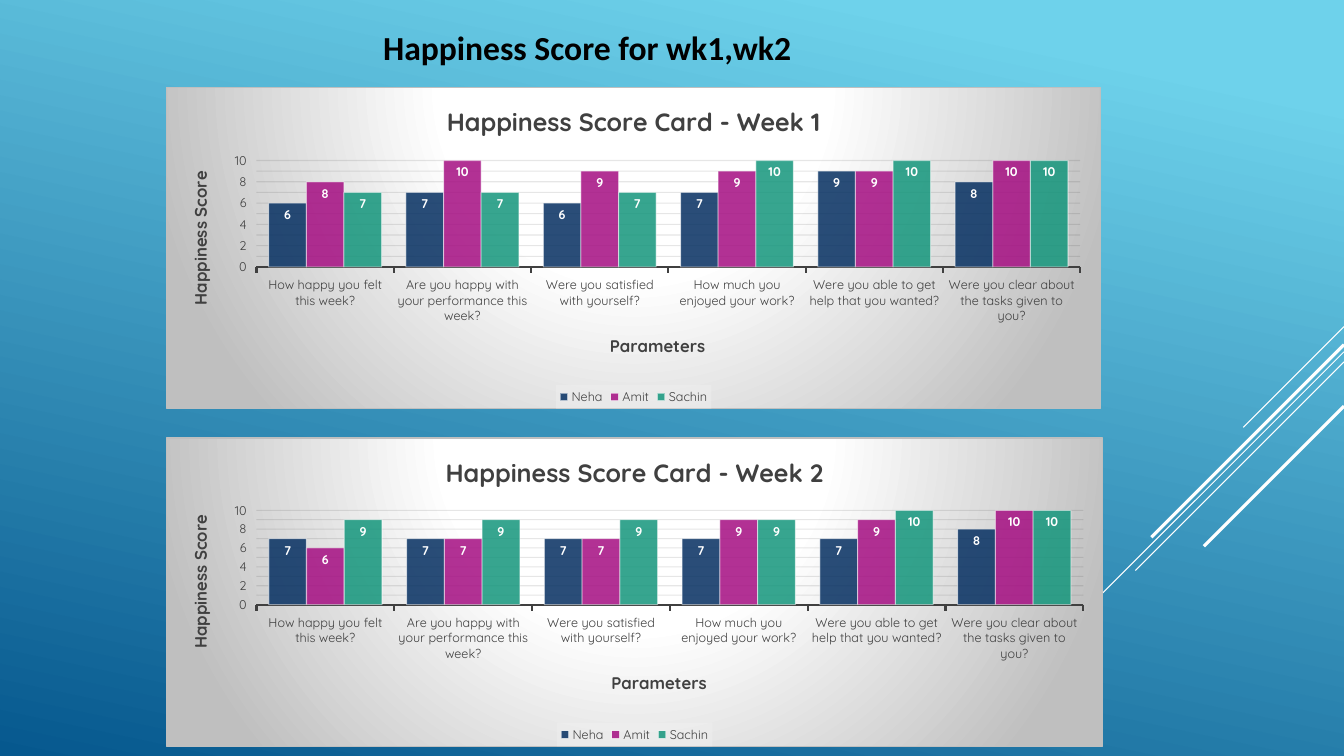
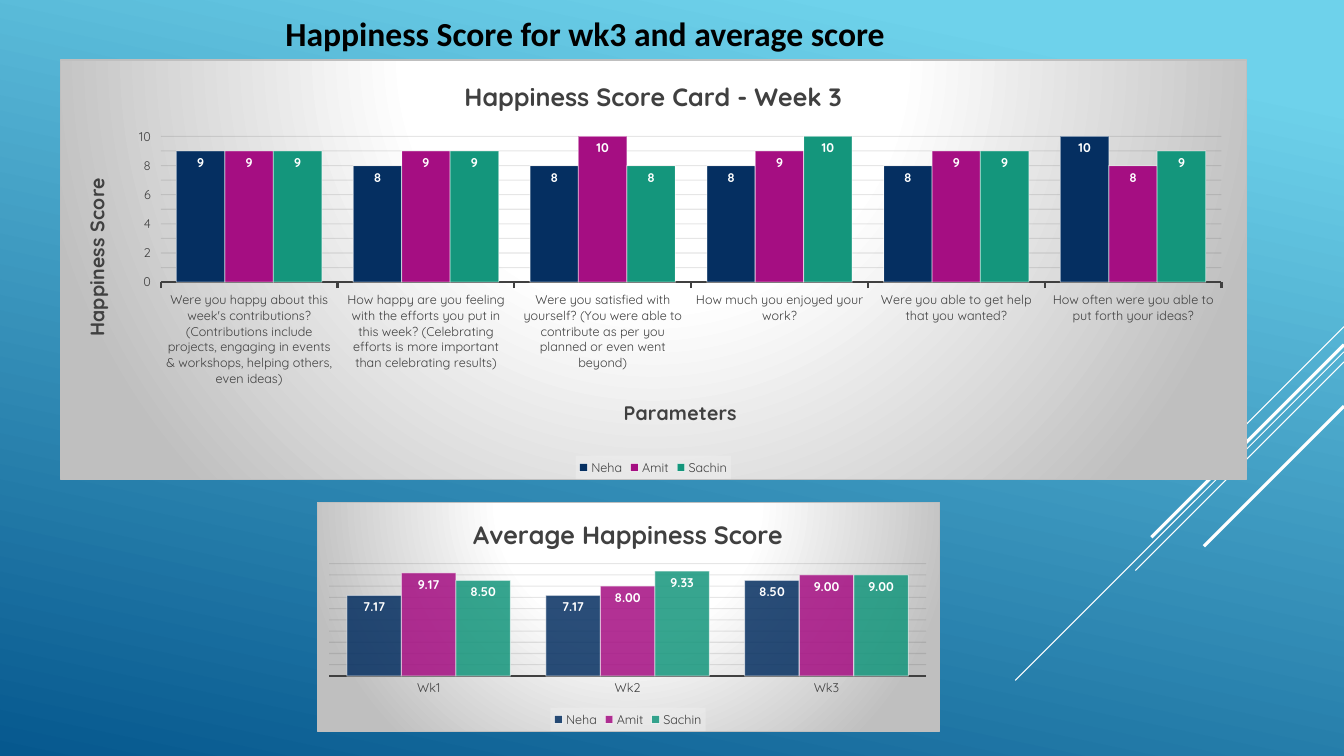
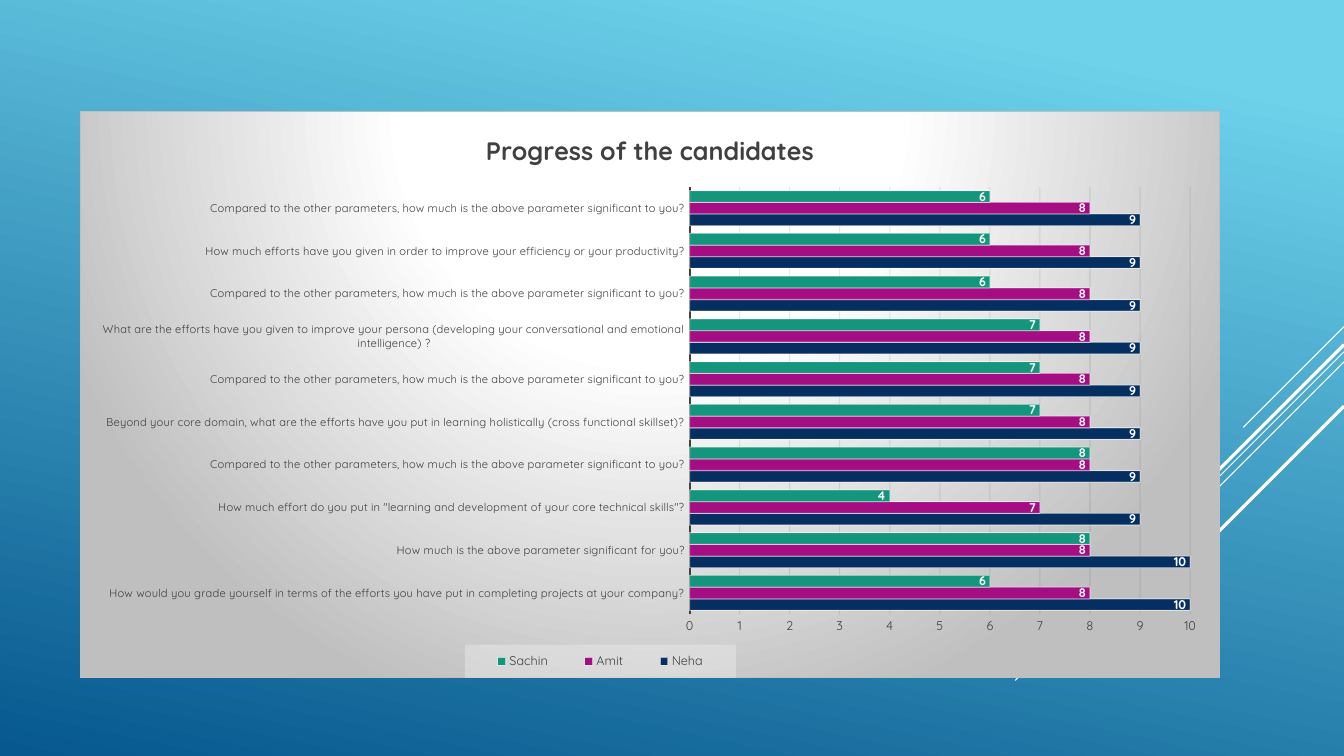
from lxml import etree
from pptx import Presentation
from pptx.chart.data import CategoryChartData
from pptx.dml.color import RGBColor
from pptx.enum.chart import XL_CHART_TYPE, XL_LABEL_POSITION, XL_LEGEND_POSITION, XL_TICK_MARK
from pptx.enum.shapes import MSO_CONNECTOR
from pptx.enum.text import MSO_ANCHOR, MSO_AUTO_SIZE, PP_ALIGN
from pptx.oxml import parse_xml
from pptx.oxml.ns import nsdecls, qn
from pptx.util import Inches, Pt

COLUMN, BAR = XL_CHART_TYPE.COLUMN_CLUSTERED, XL_CHART_TYPE.BAR_CLUSTERED
INSIDE_END = XL_LABEL_POSITION.INSIDE_END
BOTTOM = XL_LEGEND_POSITION.BOTTOM
TICK_OUT, TICK_NONE = XL_TICK_MARK.OUTSIDE, XL_TICK_MARK.NONE
STRAIGHT = MSO_CONNECTOR.STRAIGHT
MIDDLE, LEFT, NO_FIT = MSO_ANCHOR.MIDDLE, PP_ALIGN.LEFT, MSO_AUTO_SIZE.NONE

WHITE = RGBColor(0xFF, 0xFF, 0xFF)
BLACK = RGBColor(0, 0, 0)
DARK = RGBColor(0x40, 0x40, 0x40)
GRID = RGBColor(0x0D, 0x0D, 0x0D)
SKY = RGBColor(0x6E, 0xD2, 0xEB)
OCEAN = RGBColor(0x06, 0x58, 0x8E)
NAVY = RGBColor(0x05, 0x2F, 0x61)
MAGENTA = RGBColor(0xA5, 0x0E, 0x82)
TEAL = RGBColor(0x14, 0x96, 0x7C)

TITLE_FONT, CHART_FONT = "Calibri", "Quicksand"
SLIDE_W, SLIDE_H = 13.33, 7.5
TITLE_ONLY, BLANK = 5, 6

# Diagonals start at the right edge: top, horizontal reach, line width
DIAGONALS = [(3.24, 1, 0.75), (3.49, 3.26, 0.75), (3.59, 2.07, 0.75),
             (3.42, 1.91, 2.25), (4.03, 1.39, 2.25)]

PEOPLE = [("Neha", NAVY), ("Amit", MAGENTA), ("Sachin", TEAL)]

# Content
WEEKLY = [
    "How happy you felt this week?",
    "Are you happy with your performance this week?",
    "Were you satisfied with yourself?",
    "How much you enjoyed your work?",
    "Were you able to get help that you wanted?",
    "Were you clear about the tasks given to you?",
]
WEEK_3 = [
    "Were you happy about this week's contributions? (Contributions include projects, "
    "engaging in events & workshops, helping others, even ideas)",
    "How happy are you feeling with the efforts you put in this week? (Celebrating "
    "efforts is more important than celebrating results)",
    "Were you satisfied with yourself? (You were able to contribute as per you planned "
    "or even went beyond)",
    "How much you enjoyed your work?",
    "Were you able to get help that you wanted?",
    "How often were you able to put forth your ideas?",
]
COMPARED = "Compared to the other parameters, how much is the above parameter significant to you?"
PROGRESS = [
    "How would you grade yourself in terms of the efforts you have put in completing "
    "projects at your company?",
    "How much is the above parameter significant for you?",
    'How much effort do you put in "learning and development of your core technical skills"?',
    COMPARED,
    "Beyond your core domain, what are the efforts have you put in learning holistically "
    "(cross functional skillset)?",
    COMPARED,
    "What are the efforts have you given to improve your persona (developing your "
    "conversational and emotional intelligence) ?",
    COMPARED,
    "How much efforts have you given in order to improve your efficiency or your productivity?",
    COMPARED,
]

# box is left, top, width, height; plot is left, top, right, bottom (inches)
SLIDES = [
    dict(title="Happiness Score for wk1,wk2", at=(3.7, 0.22, 4.3, 0.5), charts=[
        dict(title="Happiness Score Card - Week 1", cats=WEEKLY,
             box=(1.65, 0.86, 9.27, 3.2), plot=(2.54, 1.59, 10.72, 2.65),
             axis_title_size=12, opacity=85,
             rows=[(6, 7, 6, 7, 9, 8), (8, 10, 9, 9, 9, 10), (7, 7, 7, 10, 10, 10)]),
        dict(title="Happiness Score Card - Week 2", cats=WEEKLY,
             box=(1.65, 4.34, 9.29, 3.07), plot=(2.54, 5.06, 10.75, 6),
             axis_title_size=12, opacity=85,
             rows=[(7, 7, 7, 7, 7, 8), (6, 7, 7, 9, 9, 10), (9, 9, 9, 9, 10, 10)]),
    ]),
    dict(title="Happiness Score for wk3 and average score", at=(2.73, 0.08, 6.23, 0.5), charts=[
        dict(title="Happiness Score Card - Week 3", cats=WEEK_3,
             box=(0.59, 0.59, 11.78, 4.17), plot=(1.59, 1.35, 12.12, 2.8),
             axis_title_size=14,
             rows=[(9, 8, 8, 8, 8, 10), (9, 9, 10, 9, 9, 8), (9, 9, 8, 10, 9, 9)]),
        dict(title="Average Happiness Score", cats=["Wk1", "Wk2", "Wk3"],
             box=(3.14, 4.98, 6.18, 2.28), plot=(3.26, 5.59, 9.19, 6.71),
             opacity=85, number_format="0.00", show_values_axis=False,
             rows=[(7.17, 7.17, 8.5), (9.17, 8, 9), (8.5, 9.33, 9)]),
    ]),
    dict(charts=[
        dict(title="Progress of the candidates", cats=PROGRESS, kind=BAR,
             box=(0.79, 1.1, 11.31, 5.63), plot=(6.84, 1.85, 11.81, 6.1),
             legend=(4.61, 6.4, 7.3, 6.73), cat_size=8,
             rows=[(10, 10, 9, 9, 9, 9, 9, 9, 9, 9),
                   (8, 8, 7, 8, 8, 8, 8, 8, 8, 8),
                   (6, 8, 4, 8, 7, 7, 7, 6, 6, 6)]),
    ]),
]

CARD_FILL = f"""<c:spPr {nsdecls('c', 'a')}>
  <a:gradFill><a:gsLst>
    <a:gs pos="0"><a:srgbClr val="FFFFFF"/></a:gs>
    <a:gs pos="39000"><a:srgbClr val="FFFFFF"/></a:gs>
    <a:gs pos="100000"><a:srgbClr val="BFBFBF"/></a:gs>
  </a:gsLst><a:path path="circle">
    <a:fillToRect l="50000" t="-80000" r="50000" b="180000"/>
  </a:path></a:gradFill>
  <a:ln w="9525"><a:solidFill><a:srgbClr val="BFBFBF"/></a:solidFill></a:ln>
</c:spPr>"""
LEGEND_FILL = f"""<c:spPr {nsdecls('c', 'a')}>
  <a:solidFill><a:srgbClr val="F2F2F2"><a:alpha val="39000"/></a:srgbClr></a:solidFill>
</c:spPr>"""


def set_font(font, size, color, bold=False, name=CHART_FONT):
    font.size, font.bold, font.name = Pt(size), bold, name
    font.color.rgb = color


def put_text(tf, text, size=18, color=DARK, bold=True, name=CHART_FONT, align=None):
    p = tf.paragraphs[0]
    p.alignment = align
    r = p.add_run()
    r.text = text
    set_font(r.font, size, color, bold, name)


def set_opacity(chart, path, percent):
    for color in chart.element.xpath(path + "/a:solidFill/a:srgbClr"):
        etree.SubElement(color, qn("a:alpha"), val=str(percent * 1000))


def manual_layout(box, area, inner=False):
    """Express an area of the slide as fractions of the chart box."""
    left, top, width, height = box
    x1, y1, x2, y2 = area
    target = '<c:layoutTarget val="inner"/>' if inner else ""
    sizes = dict(x=(x1 - left) / width, y=(y1 - top) / height,
                 w=(x2 - x1) / width, h=(y2 - y1) / height)
    modes = '<c:xMode val="edge"/><c:yMode val="edge"/>'
    values = "".join(f'<c:{k} val="{v:.4f}"/>' for k, v in sizes.items())
    return parse_xml(f'<c:layout {nsdecls("c")}><c:manualLayout>{target}{modes}{values}'
                     "</c:manualLayout></c:layout>")


def drop_layout(parent):
    for layout in parent.findall(qn("c:layout")):
        parent.remove(layout)


def style_axes(chart, axis_title_size, cat_size, show_values_axis):
    cat, val = chart.category_axis, chart.value_axis
    ticks = TICK_OUT if axis_title_size else TICK_NONE
    for axis, size in ((cat, cat_size), (val, 9)):
        axis.major_tick_mark = ticks
        set_font(axis.tick_labels.font, size, DARK)
    cat.format.line.color.rgb = DARK
    cat.format.line.width = Pt(1.5)
    val.minimum_scale, val.maximum_scale, val.major_unit = 0, 10, 1
    val.format.line.fill.background()
    val.visible = show_values_axis
    val.has_major_gridlines = True
    grid = val.major_gridlines.format.line
    grid.color.rgb, grid.width = GRID, Pt(0.75)
    set_opacity(chart, ".//c:majorGridlines/c:spPr/a:ln", 10)
    if axis_title_size:
        for axis, text in ((cat, "Parameters"), (val, "Happiness Score")):
            put_text(axis.axis_title.text_frame, text, size=axis_title_size)
        for body in chart.element.xpath(".//c:valAx/c:title//a:bodyPr"):
            body.set("rot", "-5400000")
            body.set("vert", "horz")


def style_legend(chart, box, area):
    chart.has_legend = True
    legend = chart.legend
    legend.position, legend.include_in_layout = BOTTOM, False
    set_font(legend.font, 9, DARK)
    element = chart.element.xpath(".//c:legend")[0]
    element.find(qn("c:overlay")).addnext(parse_xml(LEGEND_FILL))
    if area:
        drop_layout(element)
        element.find(qn("c:legendPos")).addnext(manual_layout(box, area))


def add_score_chart(slide, title, cats, rows, box, plot, kind=COLUMN, axis_title_size=None,
                    opacity=100, number_format="General", show_values_axis=True,
                    legend=None, cat_size=9):
    data = CategoryChartData(number_format=number_format)
    data.categories = cats
    for (name, _), values in zip(PEOPLE, rows):
        data.add_series(name, values)
    chart = slide.shapes.add_chart(kind, *map(Inches, box), data).chart
    set_font(chart.font, 10, WHITE)
    chart.has_title = True
    put_text(chart.chart_title.text_frame, title)

    # Bars and their labels
    bars = chart.plots[0]
    bars.gap_width, bars.vary_by_categories = 65, False
    for ser, (_, color) in zip(bars.series, PEOPLE):
        ser.format.fill.solid()
        ser.format.fill.fore_color.rgb = color
        ser.format.line.color.rgb = WHITE
        ser.format.line.width = Pt(0.75)
        labels = ser.data_labels
        labels.show_value, labels.position = True, INSIDE_END
        labels.number_format, labels.number_format_is_linked = number_format, False
        set_font(labels.font, 9, WHITE, bold=True)
    set_opacity(chart, ".//c:ser/c:spPr", opacity)
    set_opacity(chart, ".//c:ser/c:spPr/a:ln", 50)

    style_axes(chart, axis_title_size, cat_size, show_values_axis)
    style_legend(chart, box, legend)

    # Card background and plot position
    chart.element.find(qn("c:chart")).addnext(parse_xml(CARD_FILL))
    plot_area = chart.element.xpath(".//c:plotArea")[0]
    drop_layout(plot_area)
    plot_area.insert(0, manual_layout(box, plot, inner=True))


def paint_master(prs, slide):
    """Give the master its gradient and diagonals, drawn by way of a slide."""
    master = prs.slide_master
    fill = master.background.fill
    fill.gradient()
    fill.gradient_angle = 360 - 102
    for stop, color, position in zip(fill.gradient_stops, (SKY, OCEAN), (0.1, 1)):
        stop.color.rgb, stop.position = color, position
    for i, (top, reach, width) in enumerate(DIAGONALS):
        line = slide.shapes.add_connector(
            STRAIGHT, Inches(SLIDE_W), Inches(top), Inches(SLIDE_W - reach), Inches(top + reach))
        line.line.color.rgb, line.line.width = WHITE, Pt(width)
        etree.SubElement(line.element.spPr, qn("a:effectLst"))
        line.element.nvCxnSpPr.cNvPr.id = 100 + i
        master.shapes.element.append(line.element)


def set_title(slide, text, at):
    sp = slide.shapes.title
    sp.left, sp.top, sp.width, sp.height = map(Inches, at)
    tf = sp.text_frame
    tf.word_wrap, tf.auto_size, tf.vertical_anchor = False, NO_FIT, MIDDLE
    put_text(tf, text, size=24, color=BLACK, name=TITLE_FONT, align=LEFT)


def main():
    prs = Presentation()
    prs.slide_width, prs.slide_height = Inches(SLIDE_W), Inches(SLIDE_H)
    for content in SLIDES:
        title = content.get("title")
        slide = prs.slides.add_slide(prs.slide_layouts[TITLE_ONLY if title else BLANK])
        if title:
            set_title(slide, title, content["at"])
        for chart in content["charts"]:
            add_score_chart(slide, **chart)
    paint_master(prs, prs.slides[0])
    prs.save("out.pptx")


if __name__ == "__main__":
    main()
